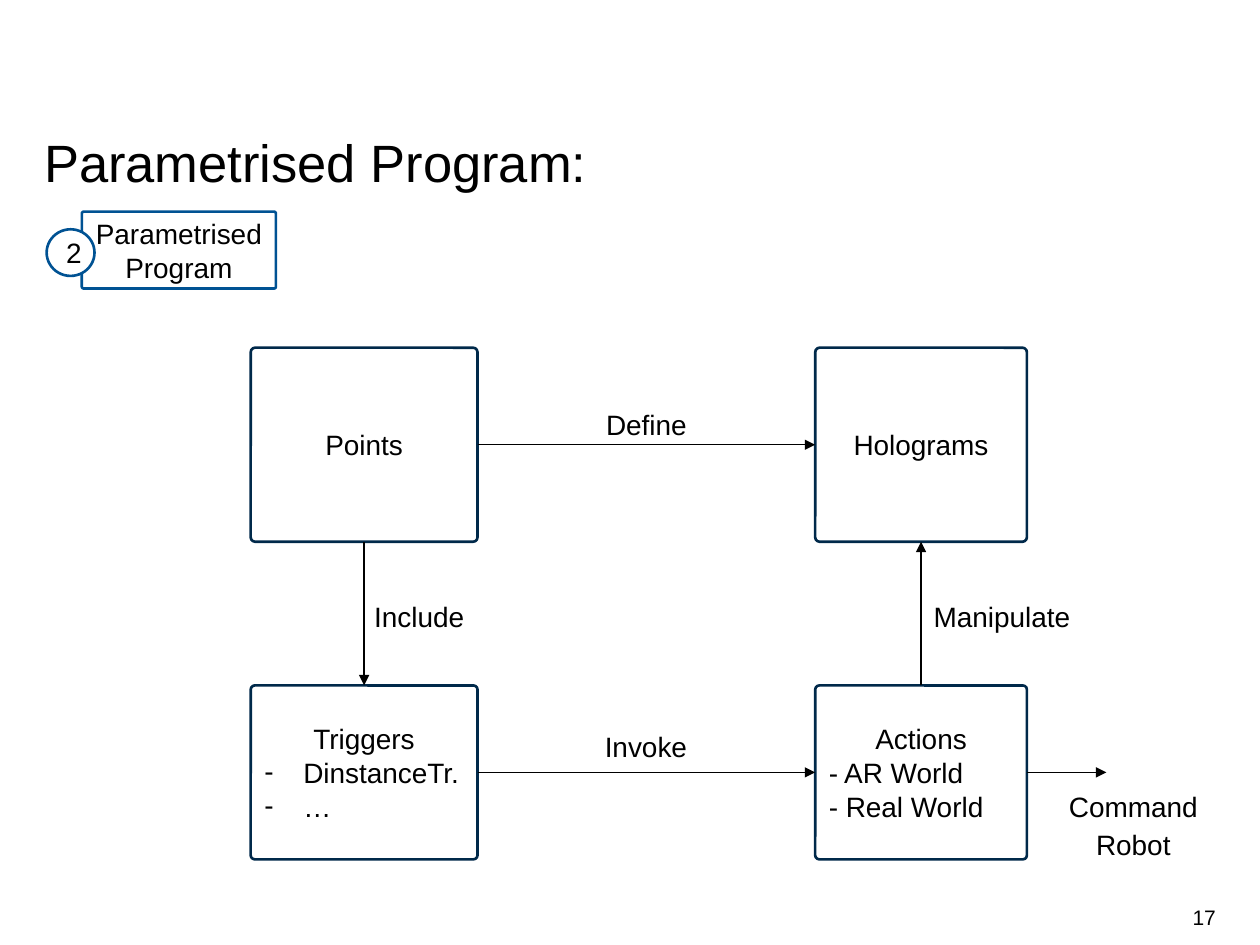
"""Build the slide on how a parametrised program is structured."""
from lxml import etree
from pptx import Presentation, util as u
from pptx.dml.color import RGBColor
from pptx.enum import shapes, text
from pptx.oxml.ns import qn

HUE = {"ink": "000000", "paper": "FFFFFF", "blue": "005293", "navy": "00294A"}
KIND = shapes.MSO_SHAPE
SIDE = text.PP_ALIGN
MID = text.MSO_ANCHOR.MIDDLE

deck = Presentation()
deck.slide_width, deck.slide_height = u.Inches(10), u.Inches(7.5)
slide = deck.slides.add_slide(deck.slide_layouts[6])


def write(frame, lines, size=16, side=SIDE.CENTER, gap=None):
    for i, line in enumerate(lines):
        para = frame.paragraphs[0] if i == 0 else frame.add_paragraph()
        para.alignment = side if i == 0 else SIDE.LEFT
        para.line_spacing = gap
        if line.startswith("• "):
            line = line[2:]
            props = para._p.get_or_add_pPr()
            props.set("marL", str(u.Inches(0.31)))
            props.set("indent", str(-u.Inches(0.31)))
            etree.SubElement(props, qn("a:buFont")).set("typeface", "Arial")
            etree.SubElement(props, qn("a:buChar")).set("char", "-")
        run = para.add_run()
        run.text = line
        run.font.name, run.font.size = "Arial", u.Pt(size)
        run.font.color.rgb = RGBColor.from_string(HUE["ink"])


def label(area, line, size=16, side=SIDE.LEFT, gap=1.14, wrap=True):
    box = slide.shapes.add_textbox(*map(u.Inches, area))
    frame = box.text_frame
    frame.word_wrap = wrap
    frame.margin_left = frame.margin_right = 0
    frame.margin_top = frame.margin_bottom = 0
    write(frame, [line], size, side, gap)
    return frame


label((0.35, 1.09, 9.31, 0.45), "Parametrised Program:", 30, gap=u.Pt(32))

left, right = (1.99, 1.8), (6.47, 1.68)
top, low = (2.76, 1.54), (5.44, 1.38)
boxes = [
    (KIND.ROUNDED_RECTANGLE, (0.65, 1.54), (1.68, 0.61), "blue", ["Parametrised Program"]),
    (KIND.OVAL, (0.37, 0.38), (1.82, 0.37), "blue", ["2"]),
    (KIND.ROUNDED_RECTANGLE, left, top, "navy", ["Points"]),
    (KIND.ROUNDED_RECTANGLE, right, top, "navy", ["Holograms"]),
    (KIND.ROUNDED_RECTANGLE, left, low, "navy", ["Triggers", "• DinstanceTr.", "• …"]),
    (KIND.ROUNDED_RECTANGLE, right, low, "navy", ["Actions", "- AR World", "- Real World"]),
]
for kind, (x, w), (y, h), hue, lines in boxes:
    box = slide.shapes.add_shape(kind, *map(u.Inches, (x, y, w, h)))
    if kind == KIND.ROUNDED_RECTANGLE:
        box.adjustments[0] = 0.023
    box.shadow.inherit = False
    box.fill.solid()
    box.fill.fore_color.rgb = RGBColor.from_string(HUE["paper"])
    box.line.color.rgb = RGBColor.from_string(HUE[hue])
    box.line.width = u.Pt(1.5)
    box.text_frame.word_wrap = True
    box.text_frame.vertical_anchor = MID
    write(box.text_frame, lines)

edge, end = sum(left), sum(right)
base = sum(top)
mid_l, mid_r = left[0] + left[1] / 2, right[0] + right[1] / 2
row_t, row_l = top[0] + top[1] / 2, low[0] + low[1] / 2
links = [
    (edge, row_t, right[0], row_t),
    (edge, row_l, right[0], row_l),
    (mid_r, low[0], mid_r, base),
    (mid_l, base, mid_l, low[0]),
    (end, row_l, 8.78, row_l),
]
for ends in links:
    link = slide.shapes.add_connector(shapes.MSO_CONNECTOR.STRAIGHT, *map(u.Inches, ends))
    link.line.color.rgb = RGBColor.from_string(HUE["ink"])
    link.line.width = u.Pt(0.75)
    tip = etree.SubElement(link.line._get_or_add_ln(), qn("a:tailEnd"))
    tip.set("type", "triangle")
    etree.SubElement(link._element.spPr, qn("a:effectLst"))

names = [
    (4.81, 3.2, 0.65, "Define"),
    (4.8, 5.75, 0.66, "Invoke"),
    (7.41, 4.72, 1.1, "Manipulate"),
    (2.97, 4.72, 0.72, "Include"),
]
for x, y, w, name in names:
    label((x, y, w, 0.28), name, wrap=False)
label((8.41, 6.23, 1.17, 0.59), "Command Robot", side=SIDE.CENTER)

page = label((7.41, 7.08, 2.24, 0.4), "17", 12, SIDE.RIGHT, None)
page.vertical_anchor = MID

deck.save("out.pptx")
